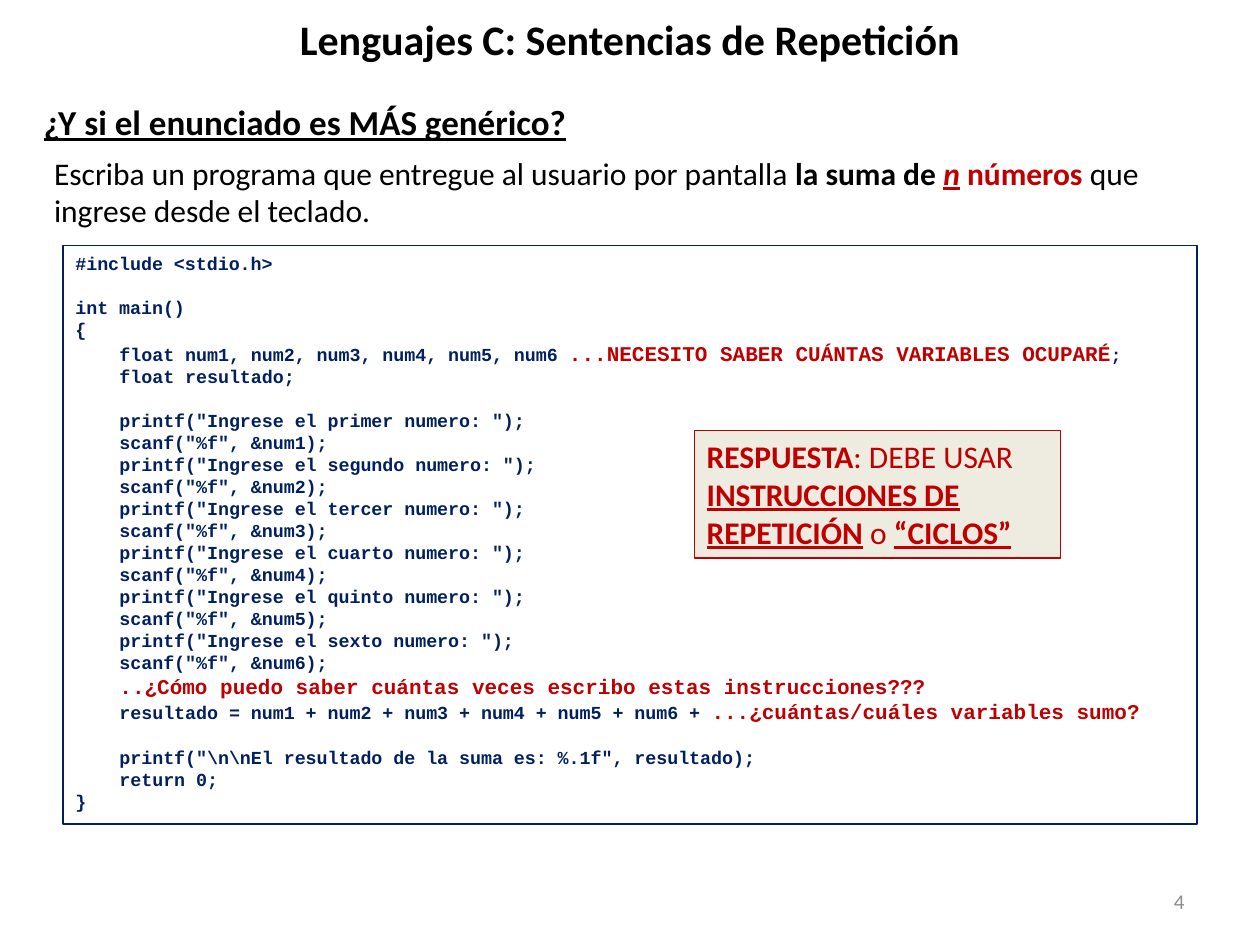
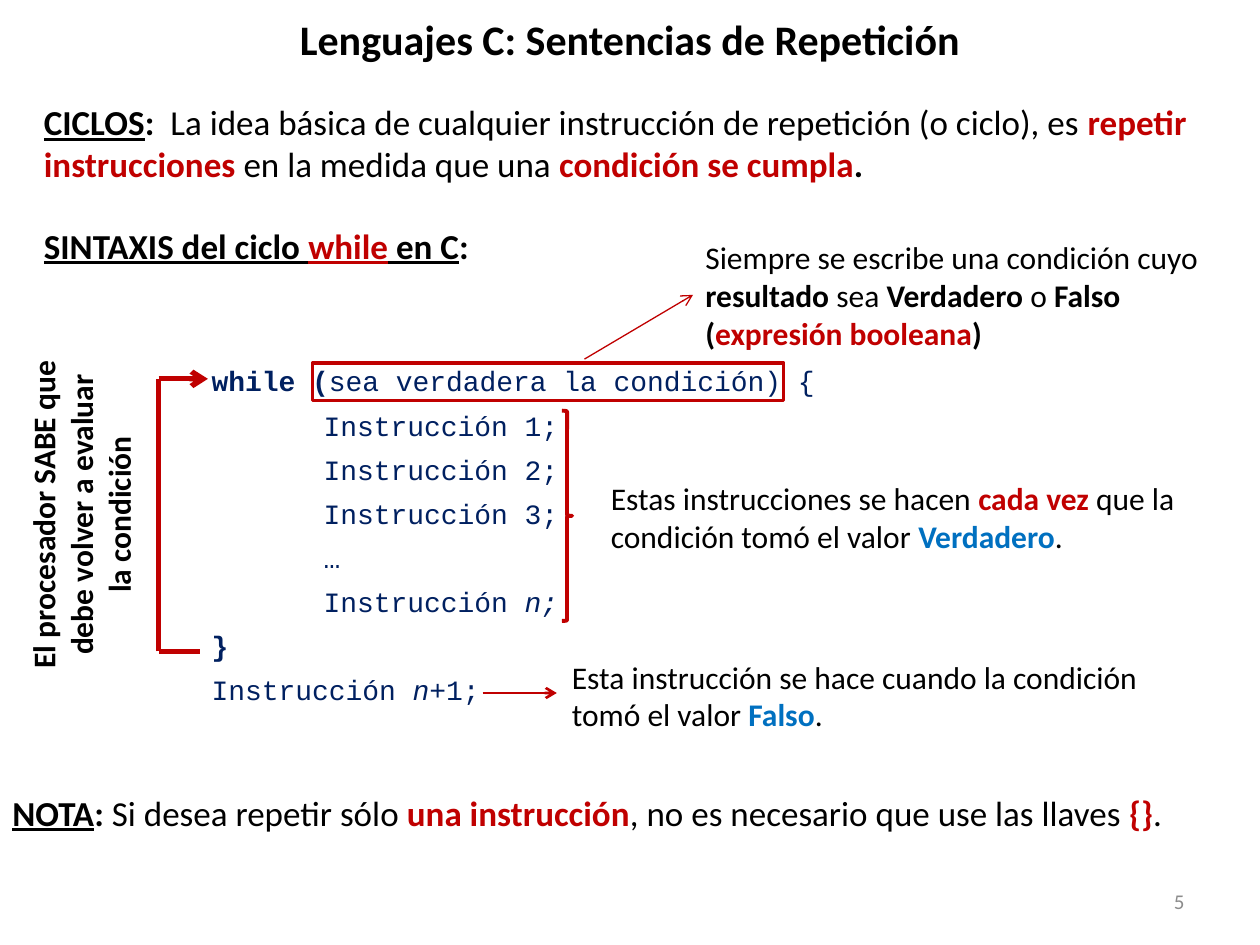
"""Build two slides that introduce repetition statements in C."""
from dataclasses import dataclass

from lxml import etree
from pptx import Presentation
from pptx import util as u
from pptx.dml import color
from pptx.enum import shapes, text
from pptx.oxml import ns


@dataclass(frozen=True)
class Theme:
    black: str = "000000"
    navy: str = "002060"
    red: str = "C00000"
    blue: str = "0070C0"
    grey: str = "8C8C8C"
    cream: str = "EEECE1"
    body: str = "Calibri"
    mono: str = "Courier New"
    title: float = 24
    lead: float = 20
    note: float = 18
    syntax: float = 16
    small: float = 12
    code: float = 10.5
    tiny: float = 10
    after: float = 6


THEME = Theme()
BOLD = {"bold": True}
PLAIN = {"bold": False}
UNDER = {"bold": True, "underline": True}
ITALIC = {"italic": True}
RED = {"bold": True, "color": THEME.red}
BLUE = {"bold": True, "color": THEME.blue}
ALERT = {"color": THEME.red, "size": THEME.small}
HEADING = "Lenguajes C: Sentencias de Repetición"


@dataclass
class Line:
    runs: list
    indent: float = 0
    before: float = 0


class Deck:
    def __init__(self, theme):
        self.theme = theme
        self.file = Presentation()
        self.file.slide_width, self.file.slide_height = u.Pt(720), u.Pt(540)
        self.slide = None

    def page(self, number):
        self.slide = self.file.slides.add_slide(self.file.slide_layouts[6])
        middle = text.MSO_ANCHOR.MIDDLE
        self.label((36, 0, 648, 44.64), [[(HEADING, BOLD)]], anchor=middle,
                   align=text.PP_ALIGN.CENTER, size=self.theme.title)
        self.label((516, 500.5, 168, 28.8), [[(str(number), {})]], anchor=middle,
                   align=text.PP_ALIGN.RIGHT, size=self.theme.small, color=self.theme.grey)

    def label(self, box, paragraphs, **style):
        holder = self.slide.shapes.add_textbox(*map(u.Pt, box))
        self.fill_text(holder, paragraphs, **style)

    def panel(self, box, weight, outline, fill=None, kind=shapes.MSO_SHAPE.RECTANGLE):
        panel = self.slide.shapes.add_shape(kind, *map(u.Pt, box))
        panel.shadow.inherit = False
        if fill:
            panel.fill.solid()
            panel.fill.fore_color.rgb = color.RGBColor.from_string(fill)
        else:
            panel.fill.background()
        self.stroke(panel.line, outline, weight)
        return panel

    def line(self, start, end, weight, arrow=False):
        link = self.slide.shapes.add_connector(
            shapes.MSO_CONNECTOR.STRAIGHT, *map(u.Pt, (*start, *end)))
        self.stroke(link.line, self.theme.red, weight)
        properties = link._element.spPr
        if arrow:
            etree.SubElement(properties.find(ns.qn("a:ln")), ns.qn("a:tailEnd"), type="arrow")
        etree.SubElement(properties, ns.qn("a:effectLst"))

    def stroke(self, line, shade, weight):
        line.color.rgb = color.RGBColor.from_string(shade)
        line.width = u.Pt(weight)

    def fill_text(self, holder, paragraphs, anchor=text.MSO_ANCHOR.TOP,
                  align=text.PP_ALIGN.LEFT, after=0, vertical=None, **base):
        frame = holder.text_frame
        for name, value in {"word_wrap": True, "vertical_anchor": anchor}.items():
            setattr(frame, name, value)
        if vertical:
            frame._txBody.bodyPr.set("vert", vertical)
        for index, runs in enumerate(paragraphs):
            paragraph = frame.paragraphs[0] if index == 0 else frame.add_paragraph()
            layout = {"alignment": align, "space_before": u.Pt(0), "space_after": u.Pt(after)}
            indent = 0
            if isinstance(runs, Line):
                layout["space_before"] = u.Pt(runs.before)
                indent, runs = runs.indent, runs.runs
            for name, value in layout.items():
                setattr(paragraph, name, value)
            if indent:
                paragraph._p.get_or_add_pPr().set("marL", str(u.Pt(indent)))
            for words, format_values in runs:
                self.run(paragraph, words, {**base, **format_values})

    def run(self, paragraph, words, values):
        run = paragraph.add_run()
        run.text = words
        full = {"name": self.theme.body, "size": self.theme.note,
                "color": self.theme.black, **values}
        run.font.color.rgb = color.RGBColor.from_string(full.pop("color"))
        full["size"] = u.Pt(full["size"])
        for name, value in full.items():
            setattr(run.font, name, value)


def program():
    indent, gap = 25.2, 12.6

    def inside(*runs, before=0):
        return Line([run if isinstance(run, tuple) else (run, {}) for run in runs],
                    indent, before)

    prompts = []
    ordinals = ("primer", "segundo", "tercer", "cuarto", "quinto", "sexto")
    for count, ordinal in enumerate(ordinals, 1):
        prompts += [
            inside(f'printf("Ingrese el {ordinal} numero: ");', before=gap if count == 1 else 0),
            inside(f'scanf("%f", &num{count});')]
    return [
        [("#include <stdio.h>", {})],
        Line([("int main()", {})], before=gap),
        [("{", {})],
        inside("float num1, num2, num3, num4, num5, num6 ",
               ("...NECESITO SABER CUÁNTAS VARIABLES OCUPARÉ", ALERT),
               (";", {"size": THEME.tiny})),
        inside("float resultado;"),
        *prompts,
        inside(("..¿Cómo puedo saber cuántas veces escribo estas instrucciones???", ALERT)),
        inside("resultado = num1 + num2 + num3 + num4 + num5 + num6 + ",
               ("...¿cuántas/cuáles variables sumo?", ALERT)),
        inside(r'printf("\n\nEl resultado de la suma es: %.1f", resultado);', before=gap),
        inside("return 0;"),
        [("}", {})],
    ]


def generic_problem(deck):
    deck.page(4)
    listing = deck.panel((36, 140.4, 648, 330.5), 0.75, THEME.navy)
    deck.fill_text(listing, program(), name=THEME.mono, size=THEME.code,
                   color=THEME.navy, bold=True)
    deck.label((18, 54, 408, 31.7), [[("¿Y si el enunciado es MÁS genérico?", UNDER)]],
               size=THEME.lead, after=THEME.after)
    deck.label((23.8, 84.2, 678, 51), [[
        ("Escriba un programa que entregue al usuario por pantalla ", {}),
        ("la suma de ", BOLD), ("n", {**RED, **UNDER, **ITALIC}), (" números ", RED),
        ("que ingrese desde el teclado.", {})]], after=THEME.after)
    answer = deck.panel((396.7, 246.2, 209.5, 72.7), 0.75, THEME.red, THEME.cream)
    deck.fill_text(answer, [[
        ("RESPUESTA", BOLD), (": DEBE USAR ", {}), ("INSTRUCCIONES DE REPETICIÓN", UNDER),
        (" o ", {}), ("“CICLOS”", UNDER)]], color=THEME.red)


def while_syntax(deck):
    deck.page(5)
    lead = {"size": THEME.lead, "after": THEME.after}
    deck.label((18, 54, 678, 55.5), [[
        ("CICLOS", UNDER), (": ", BOLD),
        (" La idea básica de cualquier instrucción de repetición (o ciclo), es ", {}),
        ("repetir instrucciones ", RED), ("en la medida que una ", {}),
        ("condición se cumpla", RED), (".", BOLD)]], **lead)
    deck.label((18, 124.6, 316, 31.7), [[
        ("SINTAXIS del ciclo ", UNDER), ("while", {**UNDER, **RED}),
        (" en C", UNDER), (":", BOLD)]], **lead)

    steps = [[(f"Instrucción {count};", {})] for count in (1, 2, 3)]
    steps += [[("…", {})], [("Instrucción ", {}), ("n;", ITALIC)]]
    deck.label((113.8, 204.5, 450, 204.5), [
        [("while (", BOLD), ("sea verdadera la condición) {", PLAIN)],
        *[Line(step, indent=64) for step in steps],
        [("}", BOLD)],
        [("Instrucción ", {}), ("n", ITALIC), ("+1;", {})],
    ], name=THEME.mono, size=THEME.syntax, color=THEME.navy, after=THEME.after)

    deck.label((396, 132.5, 324, 72.7), [
        [("Siempre se escribe una condición cuyo", {})],
        [("resultado ", BOLD), ("sea ", {}), ("Verdadero", BOLD), (" o ", {}),
         ("Falso (", BOLD), ("expresión booleana", RED), (")", BOLD)]])
    deck.panel((178.6, 207.4, 269.3, 21.6), 2, THEME.red)
    deck.line((334, 205.2), (396, 168.5), 0.75, arrow=True)

    left, top, bottom = 90.7, 216.5, 372.2
    deck.line((left, top), (118.8, top), 3, arrow=True)
    deck.line((left, bottom), (left, top), 3)
    deck.line((left, bottom), (114.5, bottom), 3)
    deck.label((10.1, 198, 79.9, 192.2), [
        [("El procesador SABE que debe volver a evaluar", BOLD)],
        [("la condición", BOLD)]], align=text.PP_ALIGN.CENTER, vertical="vert270")

    deck.panel((321.1, 234.7, 5.8, 120.2), 2.25, THEME.red, kind=shapes.MSO_SHAPE.RIGHT_BRACE)
    deck.label((342, 270, 343.5, 51), [
        [("Estas instrucciones se hacen ", {}), ("cada vez ", RED), ("que la", {})],
        [("condición tomó el valor ", {}), ("Verdadero", BLUE), (".", {})]])
    deck.label((319.7, 372.2, 341.5, 51), [
        [("Esta instrucción se hace cuando la condición", {})],
        [("tomó el valor ", {}), ("Falso", BLUE), (".", {})]])
    deck.line((275.8, 396), (318.2, 396), 1.5, arrow=True)

    deck.label((0, 448.6, 720, 31.7), [[
        ("NOTA", UNDER), (":", BOLD), (" Si desea repetir sólo ", {}),
        ("una instrucción", RED), (", no es necesario que use las llaves ", {}),
        ("{}", RED), (".", {})]], **lead)


def main():
    deck = Deck(THEME)
    generic_problem(deck)
    while_syntax(deck)
    deck.file.save("out.pptx")


if __name__ == "__main__":
    main()
